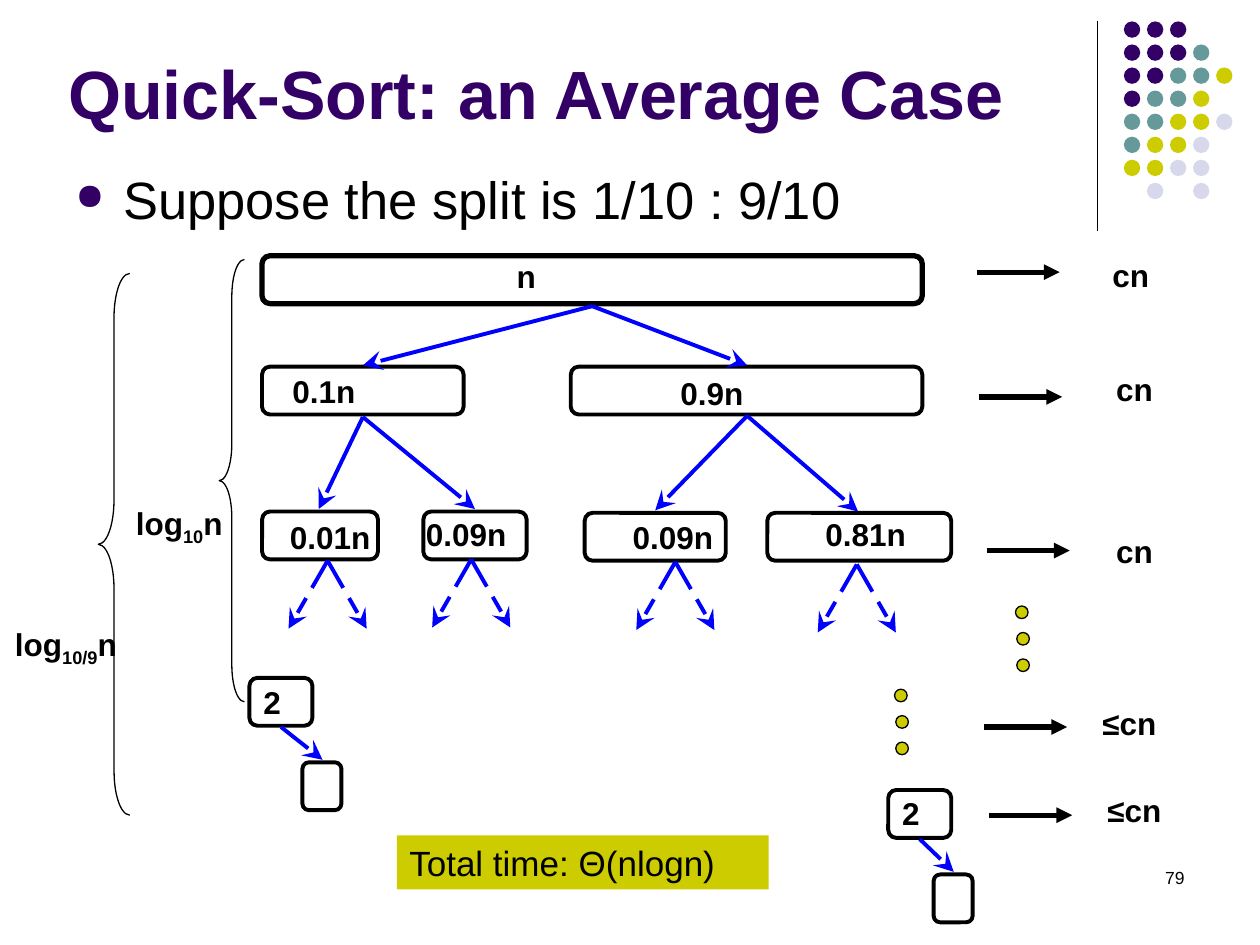
from pptx import Presentation
from pptx.dml.color import RGBColor
from pptx.enum.dml import MSO_LINE
from pptx.enum.shapes import MSO_CONNECTOR, MSO_SHAPE
from pptx.enum.text import MSO_ANCHOR, PP_ALIGN
from pptx.oxml.ns import qn
from pptx.util import Inches, Pt
from lxml import etree

LINE = MSO_CONNECTOR.STRAIGHT
ROUND = MSO_SHAPE.ROUNDED_RECTANGLE
OVAL = MSO_SHAPE.OVAL
RECT = MSO_SHAPE.RECTANGLE
BRACE = MSO_SHAPE.LEFT_BRACE
DASH = MSO_LINE.LONG_DASH
LEFT, RIGHT = PP_ALIGN.LEFT, PP_ALIGN.RIGHT
TOP, MIDDLE, BOTTOM = MSO_ANCHOR.TOP, MSO_ANCHOR.MIDDLE, MSO_ANCHOR.BOTTOM

BLACK, BLUE, PURPLE = "000000", "0000FF", "330066"
TEAL, OLIVE, PALE = "669999", "CCCC00", "D8D8EC"


def color(code):
    return RGBColor.from_string(code)


class Sketch:
    font = "Arial"

    def __init__(self, slide):
        self.slide = slide
        self.shapes = slide.shapes

    def label(self, shape, text, size=18, bold=True, ink=BLACK, pad=True,
              wrap=True, align=LEFT, anchor=TOP):
        frame = shape.text_frame
        frame.text = text
        frame.word_wrap = wrap
        frame.vertical_anchor = anchor
        frame.margin_left = frame.margin_right = Inches(0.1 if pad else 0)
        frame.margin_top = frame.margin_bottom = Inches(0.05 if pad else 0)
        para = frame.paragraphs[0]
        para.alignment = align
        for run in para.runs:
            self.style(run, size, bold, ink)
        return para

    def style(self, run, size=18, bold=True, ink=BLACK):
        run.font.name = self.font
        run.font.size = Pt(size)
        run.font.bold = bold
        run.font.color.rgb = color(ink)

    def title(self, text, x, y, w, h):
        shape = self.shapes.title
        shape.left, shape.top = Inches(x), Inches(y)
        shape.width, shape.height = Inches(w), Inches(h)
        self.label(shape, text, 39, ink=PURPLE, anchor=BOTTOM)

    def text(self, text, x, y, w, h, **style):
        box = self.shapes.add_textbox(Inches(x), Inches(y), Inches(w), Inches(h))
        return self.label(box, text, **style)

    def bullet(self, text, x, y, w, h):
        para = self.text("", x, y, w, h)
        props = para._p.get_or_add_pPr()
        props.set("marL", str(Inches(0.38)))
        props.set("indent", str(-Inches(0.38)))
        tint = etree.SubElement(props, qn("a:buClr"))
        etree.SubElement(tint, qn("a:srgbClr"), val=PURPLE)
        etree.SubElement(props, qn("a:buSzPct"), val="70000")
        etree.SubElement(props, qn("a:buChar"), char="●")
        run = para.add_run()
        run.text = text
        self.style(run, 30, False)

    def log(self, base, x, y, w):
        para = self.text("log", x, y, w, 0.44, wrap=False)
        for part in (base, "n"):
            run = para.add_run()
            run.text = part
            self.style(run)
        para.runs[1].font._element.set("baseline", "-25000")

    def shape(self, kind, x, y, w, h, fill=None, line=None, width=0.75):
        shape = self.shapes.add_shape(kind, Inches(x), Inches(y), Inches(w), Inches(h))
        shape.shadow.inherit = False
        if fill:
            shape.fill.solid()
            shape.fill.fore_color.rgb = color(fill)
        else:
            shape.fill.background()
        if line:
            shape.line.color.rgb = color(line)
            shape.line.width = Pt(width)
        else:
            shape.line.fill.background()
        return shape

    def node(self, x, y, w, width=2.25):
        self.shape(ROUND, x, y, w, 0.38, line=BLACK, width=width)

    def brace(self, x, y, w, h, curve):
        shape = self.shape(BRACE, x, y, w, h, line=BLACK)
        shape.adjustments[0] = curve

    def line(self, start, end, ink=BLACK, width=0.75, tip=None, dash=None):
        ends = [Inches(v) for v in (*start, *end)]
        link = self.shapes.add_connector(LINE, *ends)
        link.line.color.rgb = color(ink)
        link.line.width = Pt(width)
        if dash:
            link.line.dash_style = dash
        if tip:
            size = "lg" if tip == "stealth" else "med"
            etree.SubElement(link.line._get_or_add_ln(), qn("a:tailEnd"),
                             type=tip, w=size, len=size)
        etree.SubElement(link._element.spPr, qn("a:effectLst"))

    def branch(self, start, end, dash=None):
        self.line(start, end, BLUE, 2.25, "stealth", dash)

    def dots(self, x, y):
        for row, shift in enumerate((0, 0.01, 0.01)):
            self.shape(OVAL, x + shift, y + row * 0.21, 0.1, 0.1, OLIVE, BLACK)


def main():
    deck = Presentation()
    deck.slide_width, deck.slide_height = Inches(10), Inches(7.5)
    art = Sketch(deck.slides.add_slide(deck.slide_layouts[5]))

    # Corner pattern
    art.line((8.71, 0.17), (8.71, 1.83))
    inks = {"p": PURPLE, "t": TEAL, "o": OLIVE, "l": PALE}
    rows = ("ppp", "pppt", "pptto", "ptto", "ttool", "tool", "ooll", "-l-l")
    for row, marks in enumerate(rows):
        for col, mark in enumerate(marks):
            if mark in inks:
                art.shape(OVAL, 8.92 + col * 0.183, 0.17 + row * 0.183,
                          0.13, 0.13, inks[mark])

    # Heading, bullet and page number
    art.title("Quick-Sort: an Average Case", 0.44, 0.49, 8.25, 0.62)
    art.bullet("Suppose the split is 1/10 : 9/10", 0.5, 1.28, 8.1, 0.6)
    art.text("79", 7.17, 6.83, 2.33, 0.5, size=10, bold=False, align=RIGHT)

    # Tree nodes
    art.node(2.08, 2.03, 5.24, 3)
    for x, y, w in ((2.08, 2.91, 1.6), (4.53, 2.91, 2.79),
                    (2.08, 4.06, 0.92), (3.36, 4.06, 0.82),
                    (4.64, 4.07, 1.12), (6.09, 4.07, 1.46),
                    (1.98, 5.38, 0.5), (2.4, 6.05, 0.31),
                    (7.05, 6.27, 0.5), (7.41, 6.94, 0.31)):
        art.node(x, y, w)

    # Node labels
    for text, x, y in (("n", 4.1, 2.04), ("0.1n", 2.32, 2.95), ("0.9n", 5.4, 2.97),
                       ("0.01n", 2.3, 4.11), ("0.09n", 3.38, 4.09),
                       ("0.09n", 5.02, 4.11), ("0.81n", 6.55, 4.09),
                       ("2", 2.09, 5.42), ("2", 7.16, 6.3)):
        art.text(text, x, y, 0.75, 0.3, pad=False)

    # Branches
    for start, *ends in (((4.7, 2.43), (2.88, 2.9), (5.93, 2.9)),
                         ((2.88, 3.31), (2.53, 4.04), (3.77, 4.04)),
                         ((5.93, 3.3), (5.2, 4.05), (6.81, 4.06)),
                         ((2.23, 5.77), (2.56, 6.03)),
                         ((7.3, 6.66), (7.57, 6.92))):
        for end in ends:
            art.branch(start, end)
    for x, y in ((2.6, 4.45), (3.74, 4.44), (5.36, 4.46), (6.8, 4.48)):
        for side in (-0.31, 0.31):
            art.branch((x, y), (x + side, y + 0.54), DASH)

    # Cost of each level
    for text, x, y, left, top, w in (("cn", 7.75, 2.16, 8.73, 1.98, 0.49),
                                     ("cn", 7.77, 3.15, 8.76, 2.89, 0.49),
                                     ("cn", 7.83, 4.37, 8.76, 4.17, 0.49),
                                     ("≤cn", 7.81, 5.77, 8.65, 5.54, 0.63),
                                     ("≤cn", 7.85, 6.47, 8.69, 6.23, 0.63)):
        art.line((x, y), (x + 0.66, y), width=3, tip="triangle")
        art.text(text, left, top, w, 0.4, wrap=False)
    art.dots(8.06, 4.81)
    art.dots(7.1, 5.47)

    # Depth braces
    art.brace(0.78, 2.17, 0.25, 4.3, 1.4)
    art.brace(1.74, 2.06, 0.2, 3.51, 1.46)
    art.log("10", 0.98, 3.95, 0.89)
    art.log("10/9", 0.02, 4.91, 1.01)

    # Total
    total = art.shape(RECT, 3.15, 6.63, 2.95, 0.43, OLIVE)
    art.label(total, "Total time: Θ(nlogn)", 20, False, anchor=MIDDLE)

    deck.save("out.pptx")


if __name__ == "__main__":
    main()
